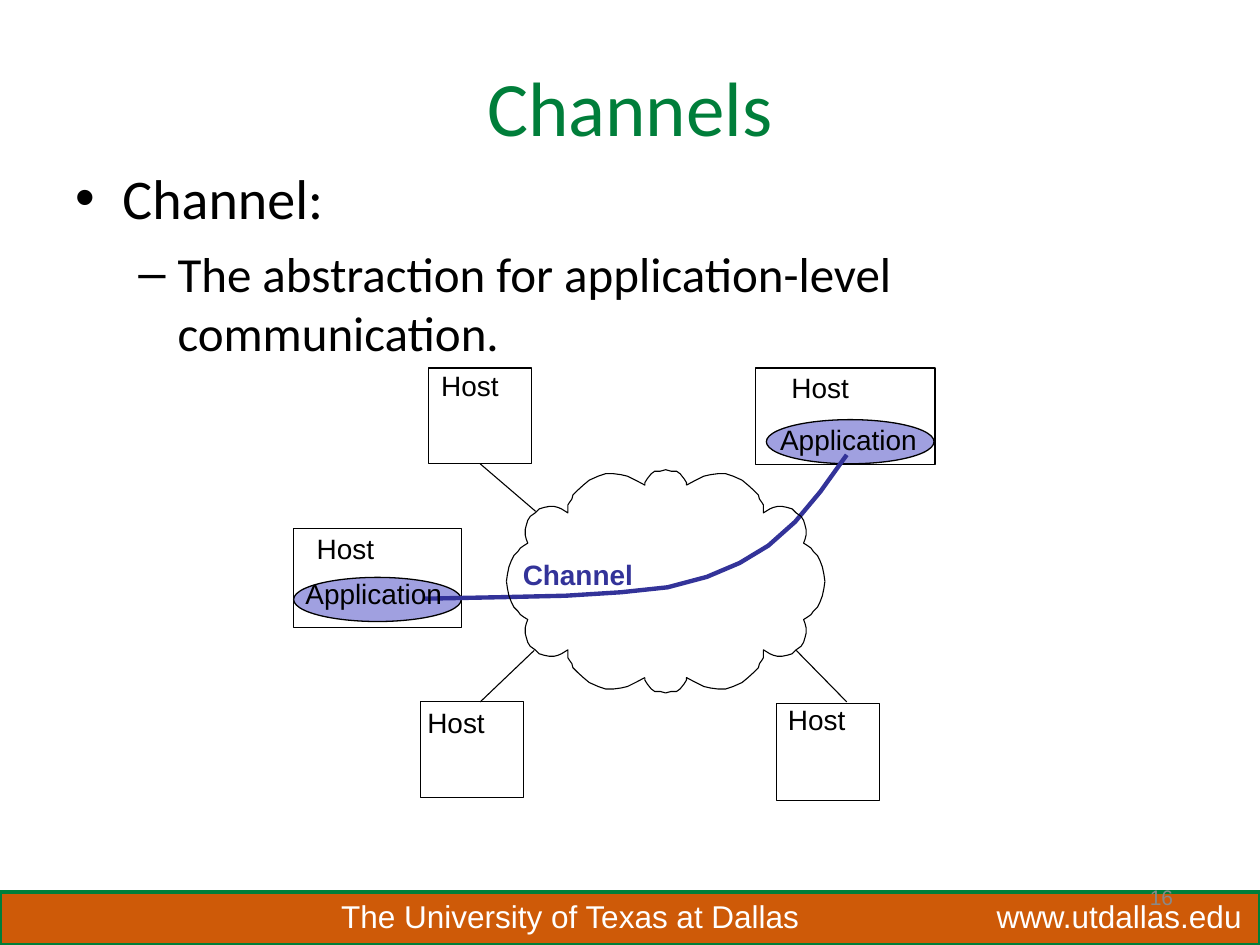
from dataclasses import dataclass
from typing import NamedTuple, Optional

from lxml.etree import SubElement
from pptx import Presentation
from pptx.dml.color import RGBColor
from pptx.enum.shapes import MSO_CONNECTOR, MSO_SHAPE
from pptx.enum.text import MSO_ANCHOR, PP_ALIGN
from pptx.oxml.ns import qn
from pptx.util import Cm, Pt


@dataclass(frozen=True)
class Theme:
    green: str = "007E3A"
    orange: str = "CE5A08"
    white: str = "FFFFFF"
    black: str = "000000"
    gray: str = "898989"
    lavender: str = "A0A0E0"
    indigo: str = "333399"
    heading_font: str = "Calibri"
    label_font: str = "Arial"
    title: float = 44
    bullet: float = 32
    dash: float = 28
    footer: float = 18
    label: float = 16
    number: float = 12
    thin: float = 0.62
    oval_line: float = 0.75
    footer_line: float = 2
    channel_line: float = 2.5


class Area(NamedTuple):
    left: float
    top: float
    width: float
    height: float

    def lengths(self) -> list:
        return [Cm(value) for value in self]


class Point(NamedTuple):
    x: float
    y: float


class Host(NamedTuple):
    area: Area
    label: Point
    oval: Optional[Point] = None
    oval_label: Optional[Point] = None


class Link(NamedTuple):
    cloud: Point
    host: Point
    joined: Optional[int] = None


class Bullet(NamedTuple):
    text: str
    sign: str
    size: float
    indent: float
    hang: float
    before: float


THEME = Theme()

HOSTS = [
    Host(Area(8.64, 7.42, 2.08, 1.93), Point(8.89, 7.42)),
    Host(Area(15.24, 7.42, 3.61, 1.95), Point(15.95, 7.47), Point(15.45, 8.46), Point(15.72, 8.51)),
    Host(Area(5.92, 10.66, 3.39, 2), Point(6.38, 10.72), Point(5.92, 11.64), Point(6.15, 11.63)),
    Host(Area(8.47, 14.15, 2.08, 1.93), Point(8.61, 14.22)),
    Host(Area(15.66, 14.18, 2.08, 1.95), Point(15.88, 14.17)),
]
LINKS = [
    Link(Point(10.8, 10.31), Point(9.68, 9.35), joined=0),
    Link(Point(10.77, 13.11), Point(9.68, 14.15)),
    Link(Point(16.05, 13.11), Point(17.07, 14.15)),
]
BULLETS = [
    Bullet("Channel:", "•", THEME.bullet, 0.95, 0.95, 0),
    Bullet("The abstraction for application-level communication.", "–", THEME.dash, 2.06, 0.79, 7),
]
CHANNEL = [
    (8.53, 12.07), (10.08, 12.04), (11.4, 12.01), (12.52, 11.94), (13.46, 11.84), (14.25, 11.63),
    (14.91, 11.35), (15.49, 11), (16.03, 10.52), (16.54, 9.91), (17.07, 9.17),
]
# Upper left quarter of the cloud and half of its top cap, measured from the centre.
CLOUD_CENTRE = Point(13.42, 11.72)
LOBES = [
    (-3.21, 0), (-3.19, -0.14), (-3.16, -0.29), (-3.11, -0.42), (-3.06, -0.52), (-2.98, -0.6),
    (-2.93, -0.67), (-2.86, -0.72), (-2.78, -0.77), (-2.81, -0.85), (-2.83, -0.93), (-2.83, -1.05),
    (-2.81, -1.13), (-2.78, -1.23), (-2.73, -1.31), (-2.63, -1.38), (-2.55, -1.46), (-2.45, -1.49),
    (-2.35, -1.51), (-2.25, -1.51), (-2.17, -1.49), (-2.1, -1.46), (-1.97, -1.38), (-1.97, -1.54),
    (-1.94, -1.59), (-1.89, -1.66), (-1.87, -1.74), (-1.77, -1.84), (-1.66, -1.94), (-1.54, -2.04),
    (-1.36, -2.12), (-1.21, -2.17), (-1.05, -2.17), (-0.9, -2.15), (-0.77, -2.12), (-0.67, -2.07),
    (-0.57, -2.02), (-0.42, -1.94),
]
HALF_CAP = [(-0.42, -1.99), (-0.37, -2.07), (-0.29, -2.17), (-0.22, -2.22), (-0.11, -2.22), (0, -2.25)]


def style(shape, line: str, width: float, fill: Optional[str] = None) -> None:
    shape.shadow.inherit = False
    shape.line.color.rgb = RGBColor.from_string(line)
    shape.line.width = Pt(width)
    if fill:
        shape.fill.solid()
        shape.fill.fore_color.rgb = RGBColor.from_string(fill)
    else:
        shape.fill.background()


def add_preset(page, kind, area: Area, **look):
    shape = page.shapes.add_shape(kind, *area.lengths())
    style(shape, **look)
    return shape


def add_curve(page, points: list, line: str, width: float) -> None:
    start, *rest = [(Cm(x), Cm(y)) for x, y in points]
    builder = page.shapes.build_freeform(*start)
    builder.add_line_segments(rest, close=False)
    style(builder.convert_to_shape(), line, width)


def add_frame(page, area: Area, inset: bool = True, wrap: bool = True, anchor=MSO_ANCHOR.TOP):
    frame = page.shapes.add_textbox(*area.lengths()).text_frame
    frame.word_wrap = wrap
    frame.vertical_anchor = anchor
    if not inset:
        frame.margin_left = frame.margin_right = frame.margin_top = frame.margin_bottom = 0
    return frame


def write(para, text: str, size: float, color: str = THEME.black, font: str = THEME.label_font,
          bold: bool = False, align=PP_ALIGN.LEFT) -> None:
    para.alignment = align
    span = para.add_run()
    span.text = text
    span.font.name = font
    span.font.size = Pt(size)
    span.font.bold = bold
    span.font.color.rgb = RGBColor.from_string(color)


def add_label(page, text: str, corner: Point, width: float, wrap: bool = False, **look) -> None:
    frame = add_frame(page, Area(*corner, width, 0.69), inset=False, wrap=wrap)
    write(frame.paragraphs[0], text, THEME.label, align=PP_ALIGN.CENTER, **look)


def add_bullets(page, area: Area) -> None:
    frame = add_frame(page, area)
    for index, bullet in enumerate(BULLETS):
        para = frame.add_paragraph() if index else frame.paragraphs[0]
        para.level = index
        properties = para._p.get_or_add_pPr()
        properties.set("marL", str(Cm(bullet.indent)))
        properties.set("indent", str(-Cm(bullet.hang)))
        SubElement(properties, qn("a:buFont"), typeface=THEME.label_font)
        SubElement(properties, qn("a:buChar"), char=bullet.sign)
        para.space_before = Pt(bullet.before)
        write(para, bullet.text, bullet.size, font=THEME.heading_font)


def add_cloud(page) -> None:
    """Mirror one quarter of the outline; two opposite quarters carry a cap."""
    cap = HALF_CAP + [(-x, y) for x, y in reversed(HALF_CAP[:-1])] + [(0.42, -1.94)]
    for across, down, outline in [(-1, 1, LOBES), (1, 1, LOBES + cap),
                                  (1, -1, LOBES), (-1, -1, LOBES + cap)]:
        points = [(CLOUD_CENTRE.x + across * x, CLOUD_CENTRE.y + down * y) for x, y in outline]
        add_curve(page, points, THEME.black, THEME.thin)


def add_link(page, link: Link, boxes: list) -> None:
    line = page.shapes.add_connector(
        MSO_CONNECTOR.STRAIGHT, *[Cm(value) for value in (*link.cloud, *link.host)])
    if link.joined is not None:
        line.end_connect(boxes[link.joined], 2)
    line.line.color.rgb = RGBColor.from_string(THEME.black)
    line.line.width = Pt(THEME.thin)
    SubElement(line._element.spPr, qn("a:effectLst"))


def add_footer(page) -> None:
    add_preset(page, MSO_SHAPE.RECTANGLE, Area(0, 17.98, 25.4, 1.07),
               line=THEME.green, width=THEME.footer_line, fill=THEME.orange)
    for text, left, width in [("The University of Texas at Dallas", 6.63, 9.83),
                              ("www.utdallas.edu", 19.84, 5.49)]:
        frame = add_frame(page, Area(left, 17.96, width, 1.02), wrap=False)
        write(frame.paragraphs[0], text, THEME.footer, THEME.white)
    number = add_frame(page, Area(17.98, 17.58, 5.92, 1.02), anchor=MSO_ANCHOR.MIDDLE)
    write(number.paragraphs[0], "16", THEME.number, THEME.gray, align=PP_ALIGN.RIGHT)


def add_network(page) -> None:
    boxes = [add_preset(page, MSO_SHAPE.RECTANGLE, host.area, line=THEME.black, width=THEME.thin)
             for host in HOSTS]
    for host in HOSTS:
        if host.oval:
            add_preset(page, MSO_SHAPE.OVAL, Area(*host.oval, 3.38, 0.89),
                       line=THEME.black, width=THEME.oval_line, fill=THEME.lavender)
    for link in LINKS:
        add_link(page, link, boxes)
    add_curve(page, CHANNEL, THEME.indigo, THEME.channel_line)
    add_cloud(page)
    for host in HOSTS:
        add_label(page, "Host", host.label, 1.17)
        if host.oval_label:
            add_label(page, "Application", host.oval_label, 2.77)
    add_label(page, "Channel", Point(9.96, 11.23), 3.38, wrap=True, color=THEME.indigo, bold=True)


def main() -> None:
    deck = Presentation()
    deck.slide_width, deck.slide_height = Cm(25.4), Cm(19.05)
    page = deck.slides.add_slide(deck.slide_layouts[6])
    add_footer(page)
    title = add_frame(page, Area(1.27, 1.07, 22.86, 1.7))
    write(title.paragraphs[0], "Channels", THEME.title, THEME.green, THEME.heading_font,
          align=PP_ALIGN.CENTER)
    add_bullets(page, Area(1.27, 3.18, 22.86, 13.64))
    add_network(page)
    deck.save("out.pptx")


if __name__ == "__main__":
    main()
